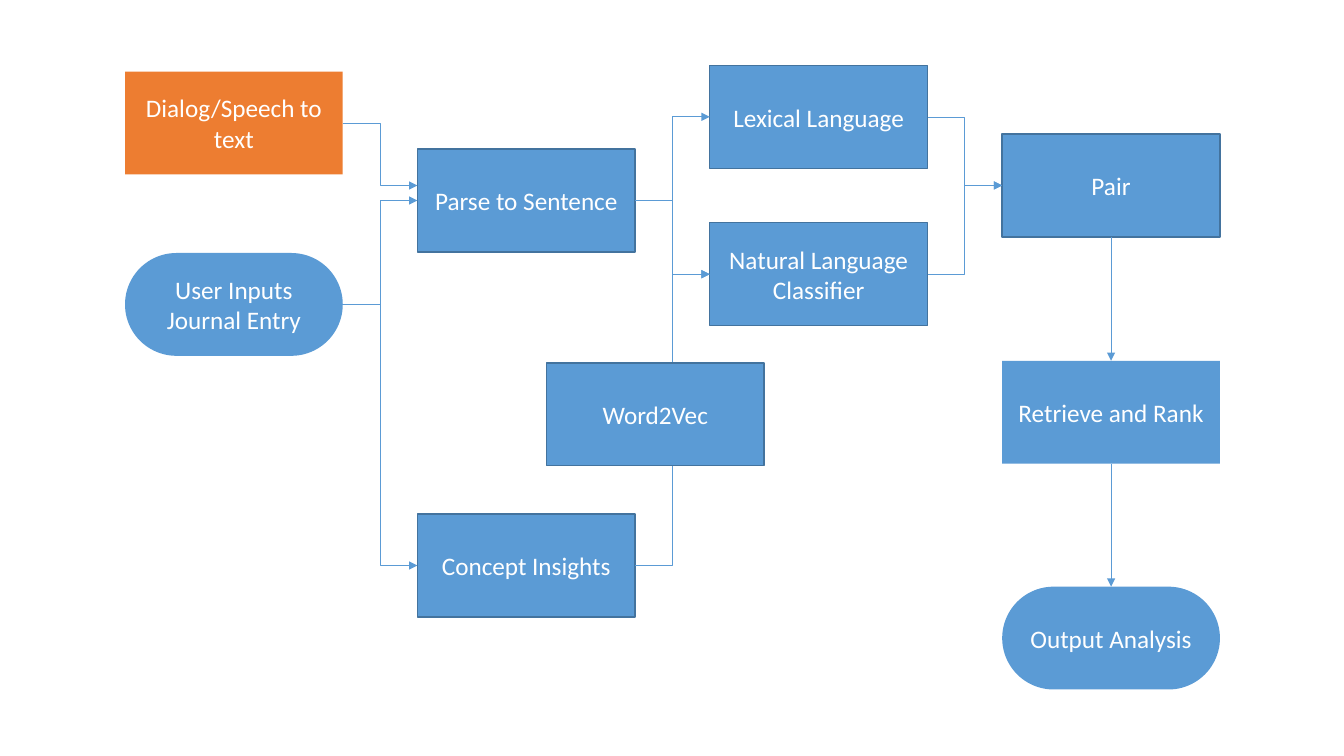
from dataclasses import dataclass

from lxml.etree import SubElement
from pptx import Presentation
from pptx.dml.color import RGBColor as RGB
from pptx.enum.shapes import MSO_CONNECTOR as Connector, MSO_SHAPE as Shape
from pptx.enum.text import MSO_ANCHOR as Anchor, PP_ALIGN as Align
from pptx.oxml.ns import qn
from pptx.util import Pt

PX = 9144
BOX_W, BOX_H = 216, 102
COLUMNS = [124 + 290 * i for i in range(4)]
TOP, LEFT, BOTTOM, RIGHT = range(4)


@dataclass(frozen=True)
class Theme:
    blue: RGB = RGB.from_string("5B9BD5")
    orange: RGB = RGB.from_string("ED7D31")
    outline: RGB = RGB.from_string("43739E")
    text: RGB = RGB.from_string("FFFFFF")
    font: str = "Calibri"
    size: int = 18
    outline_width: float = 1
    arrow_width: float = 0.5


class FlowSlide:
    """Draws flowchart boxes and arrows on one slide in a shared theme."""

    def __init__(self, slide, theme):
        self.shapes = slide.shapes
        self.theme = theme

    def box(self, text, x, y, kind=Shape.RECTANGLE, fill=None, outlined=True):
        theme = self.theme
        box = self.shapes.add_shape(kind, x * PX, y * PX, BOX_W * PX, BOX_H * PX)
        box.shadow.inherit = False
        box.fill.solid()
        box.fill.fore_color.rgb = fill or theme.blue
        if outlined:
            box.line.color.rgb = theme.outline
            box.line.width = Pt(theme.outline_width)
        else:
            box.line.fill.background()
        frame = box.text_frame
        frame.word_wrap = True
        frame.vertical_anchor = Anchor.MIDDLE
        paragraph = frame.paragraphs[0]
        paragraph.text = text
        paragraph.alignment = Align.CENTER
        paragraph.font.name = theme.font
        paragraph.font.size = Pt(theme.size)
        paragraph.font.color.rgb = theme.text
        return box

    def terminal(self, text, x, y):
        terminal = self.box(text, x, y, Shape.ROUNDED_RECTANGLE, outlined=False)
        terminal.adjustments[0] = 0.5
        return terminal

    def arrow(self, kind, start, end):
        arrow = self.shapes.add_connector(kind, *start, *end)
        arrow.line.color.rgb = self.theme.blue
        arrow.line.width = Pt(self.theme.arrow_width)
        SubElement(arrow.line._get_or_add_ln(), qn("a:tailEnd"), type="triangle")
        SubElement(arrow._element.spPr, qn("a:effectLst"))
        return arrow

    def across(self, source, target, rise=0):
        start = source.left + source.width, source.top + source.height // 2
        end = target.left, target.top + target.height // 2 - rise * PX
        arrow = self.arrow(Connector.ELBOW, start, end)
        arrow.begin_connect(source, RIGHT)
        if not rise:
            arrow.end_connect(target, LEFT)

    def down(self, source, target):
        middle = source.left + source.width // 2
        start = middle, source.top + source.height
        arrow = self.arrow(Connector.STRAIGHT, start, (middle, target.top))
        arrow.begin_connect(source, BOTTOM)
        arrow.end_connect(target, TOP)


def main():
    deck = Presentation()
    deck.slide_width, deck.slide_height = 1333 * PX, 750 * PX
    theme = Theme()
    flow = FlowSlide(deck.slides.add_slide(deck.slide_layouts[6]), theme)
    inputs, parsing, language, result = COLUMNS

    journal = flow.terminal("User Inputs Journal Entry", inputs, 251)
    sentence = flow.box("Parse to Sentence", parsing, 148)
    concepts = flow.box("Concept Insights", parsing, 510)
    classifier = flow.box("Natural Language Classifier", language, 221)
    lexical = flow.box("Lexical Language", language, 65)
    pair = flow.box("Pair", result, 133)
    rank = flow.box("Retrieve and Rank", result, 358, outlined=False)
    dialog = flow.box("Dialog/Speech to text", inputs, 71,
                      fill=theme.orange, outlined=False)
    analysis = flow.terminal("Output Analysis", result, 582)

    for source, target in [
        (journal, sentence), (journal, concepts), (concepts, classifier),
        (sentence, lexical), (sentence, classifier),
        (lexical, pair), (classifier, pair),
    ]:
        flow.across(source, target)
    flow.across(dialog, sentence, rise=15)
    flow.down(pair, rank)
    flow.down(rank, analysis)
    flow.box("Word2Vec", 542, 360)

    deck.save("out.pptx")


if __name__ == "__main__":
    main()
